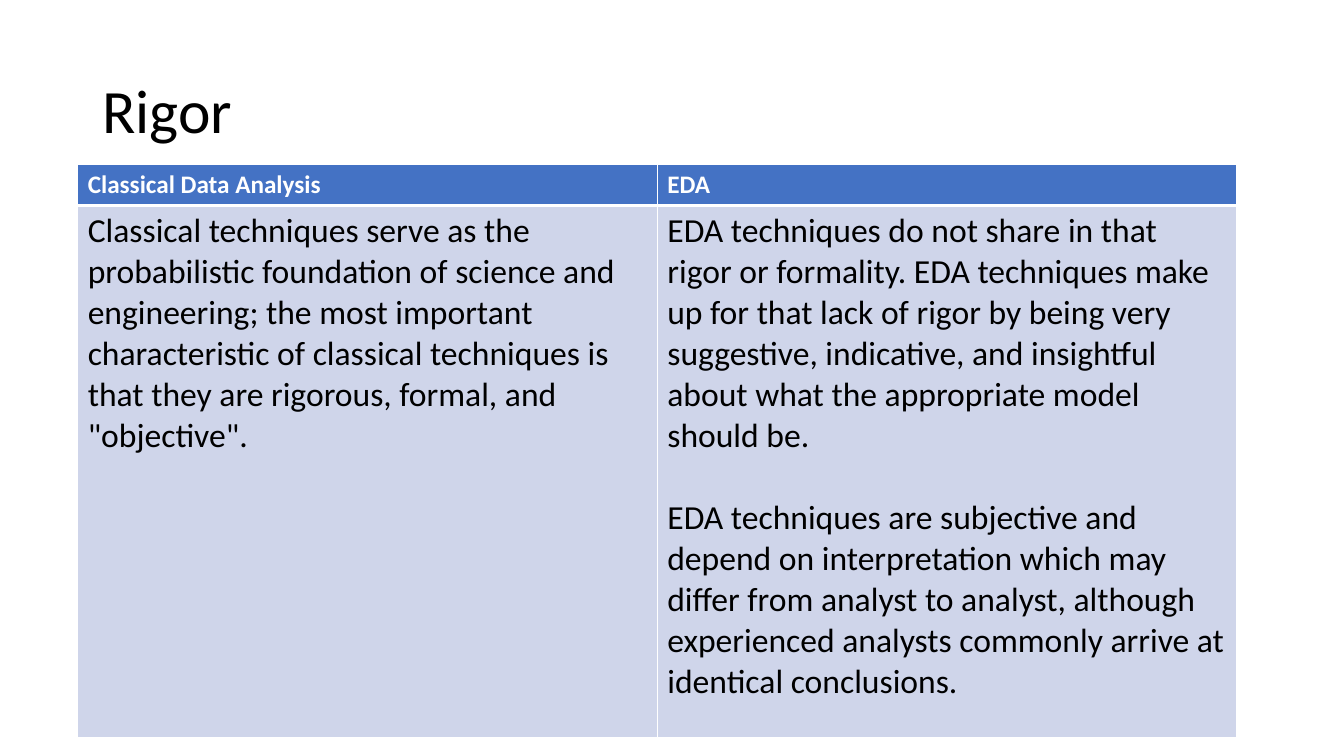
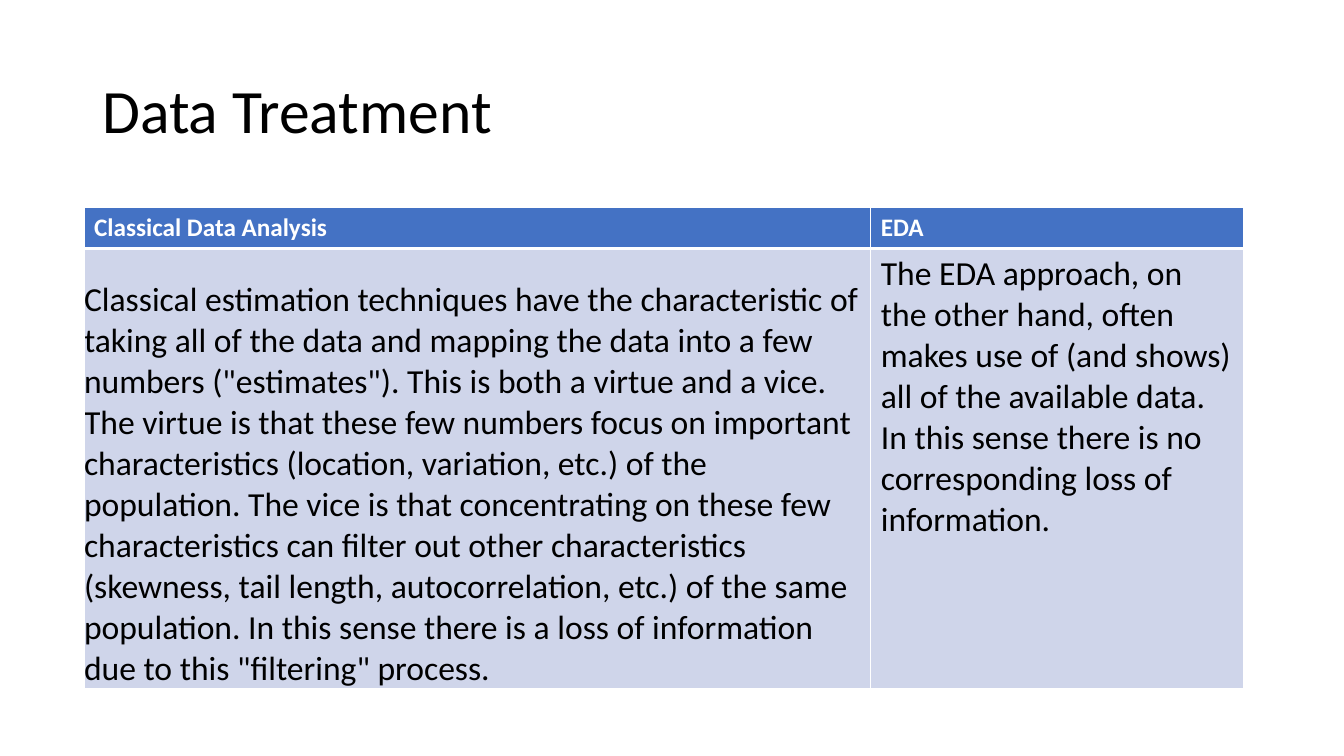
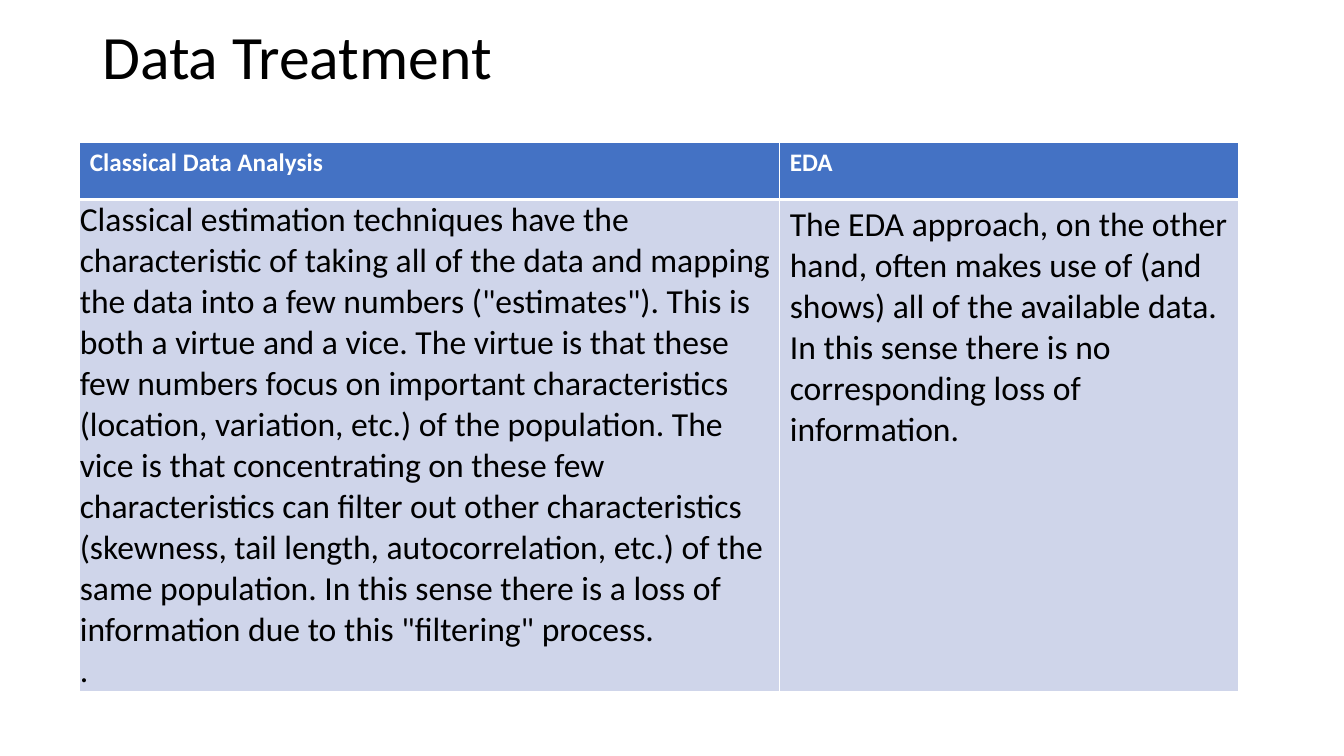
from dataclasses import dataclass

from lxml import etree
from pptx import Presentation
from pptx.dml.color import RGBColor
from pptx.enum import text
from pptx.oxml import ns
from pptx.util import Pt

FONT = "Calibri"
WHITE, BLACK = "FFFFFF", "000000"
HEADER_FILL, BODY_FILL = "4472C4", "CFD5EA"
TITLE_LEFT, CONTENT_WIDTH = 66, 828
HEADINGS = ("Classical Data Analysis", "EDA")
BODY_SIZE, BODY_LINE = 24, 29.3
SIDE_INSET, TOP_INSET = 7.2, 3.6

ESTIMATION = (
    "Classical estimation techniques have the characteristic of taking all of the data and "
    "mapping the data into a few numbers (\"estimates\"). This is both a virtue and a vice. "
    "The virtue is that these few numbers focus on important characteristics (location, "
    "variation, etc.) of the population. The vice is that concentrating on these few "
    "characteristics can filter out other characteristics (skewness, tail length, "
    "autocorrelation, etc.) of the same population. In this sense there is a loss of "
    "information due to this \"filtering\" process."
)
EDA_DATA = (
    "The EDA approach, on the other hand, often makes use of (and shows) all of the available "
    "data. In this sense there is no corresponding loss of information."
)
RIGOROUS = (
    "Classical techniques serve as the probabilistic foundation of science and engineering; "
    "the most important characteristic of classical techniques is that they are rigorous, "
    "formal, and \"objective\"."
)
SUGGESTIVE = (
    "EDA techniques do not share in that rigor or formality. EDA techniques make up for that "
    "lack of rigor by being very suggestive, indicative, and insightful about what the "
    "appropriate model should be."
)
SUBJECTIVE = (
    "EDA techniques are subjective and depend on interpretation which may differ from analyst "
    "to analyst, although experienced analysts commonly arrive at identical conclusions."
)


@dataclass
class Body:
    """Text of one body cell; flush text has no insets but the given top one."""
    paragraphs: tuple[str, ...]
    gap: float = 0
    flush: bool = False
    top: float = TOP_INSET


@dataclass
class Comparison:
    title: str
    left: float
    top: float
    first_col: float
    header_height: float
    body_height: float
    bodies: tuple[Body, Body]
    title_top: float = 28.8
    title_height: float = 104.4


COMPARISONS = (
    Comparison("Rigor", 55.5, 117.5, 414, 29.2, 380,
               (Body((RIGOROUS,)), Body((SUGGESTIVE, SUBJECTIVE), gap=BODY_LINE))),
    Comparison("Data Treatment", 60, 148.4, 562, 29.2, 314.5,
               (Body((ESTIMATION,), flush=True, top=22), Body((EDA_DATA,)))),
    Comparison("Data Treatment", 57, 101.5, 500, 41, 351.5,
               (Body((ESTIMATION, "."), flush=True), Body((EDA_DATA,))),
               title_top=0, title_height=85.7),
)
COMPARISONS[2].bodies[0].top = 0


def rgb(color: str) -> RGBColor:
    return RGBColor.from_string(color)


def style(p, size: float, color: str, bold: bool = False) -> None:
    p.font.name, p.font.size, p.font.bold = FONT, Pt(size), bold
    p.font.color.rgb = rgb(color)


def add_borders(cell, top: float, bottom: float) -> None:
    """Draw white cell borders; must run before the cell is filled."""
    tc_pr = cell._tc.get_or_add_tcPr()
    for side, width in (("L", 1), ("R", 1), ("T", top), ("B", bottom)):
        ln = etree.SubElement(tc_pr, ns.qn(f"a:ln{side}"), w=str(Pt(width)))
        fill = etree.SubElement(ln, ns.qn("a:solidFill"))
        etree.SubElement(fill, ns.qn("a:srgbClr"), val=WHITE)


def fill_cell(cell, color: str) -> None:
    cell.fill.solid()
    cell.fill.fore_color.rgb = rgb(color)


def add_title(slide, c: Comparison) -> None:
    sp = slide.shapes.add_textbox(Pt(TITLE_LEFT), Pt(c.title_top),
                                  Pt(CONTENT_WIDTH), Pt(c.title_height))
    tf = sp.text_frame
    tf.word_wrap = True
    tf.vertical_anchor = text.MSO_ANCHOR.MIDDLE
    p = tf.paragraphs[0]
    p.text = c.title
    p.line_spacing = 0.9
    style(p, 44, BLACK)


def write_header(cell, heading: str) -> None:
    add_borders(cell, 1, 3)
    fill_cell(cell, HEADER_FILL)
    p = cell.text_frame.paragraphs[0]
    p.text = heading
    style(p, 18, WHITE, bold=True)


def write_body(cell, body: Body) -> None:
    add_borders(cell, 3, 1)
    fill_cell(cell, BODY_FILL)
    cell.margin_left = cell.margin_right = Pt(0 if body.flush else SIDE_INSET)
    cell.margin_top = Pt(body.top)
    cell.margin_bottom = Pt(0 if body.flush else TOP_INSET)
    tf = cell.text_frame
    for i, words in enumerate(body.paragraphs):
        p = tf.add_paragraph() if i else tf.paragraphs[0]
        p.text = words
        if i and body.gap:
            p.space_before = Pt(body.gap)
        style(p, BODY_SIZE, BLACK)


def add_comparison_table(slide, c: Comparison) -> None:
    table = slide.shapes.add_table(2, 2, Pt(c.left), Pt(c.top), Pt(CONTENT_WIDTH),
                                   Pt(c.header_height + c.body_height)).table
    table.columns[0].width = Pt(c.first_col)
    table.columns[1].width = Pt(CONTENT_WIDTH - c.first_col)
    table.rows[0].height = Pt(c.header_height)
    table.rows[1].height = Pt(c.body_height)
    for col, (heading, body) in enumerate(zip(HEADINGS, c.bodies)):
        write_header(table.cell(0, col), heading)
        write_body(table.cell(1, col), body)


def main() -> None:
    prs = Presentation()
    prs.slide_width, prs.slide_height = Pt(960), Pt(540)
    for c in COMPARISONS:
        slide = prs.slides.add_slide(prs.slide_layouts[6])
        add_title(slide, c)
        add_comparison_table(slide, c)
    prs.save("out.pptx")


if __name__ == "__main__":
    main()
